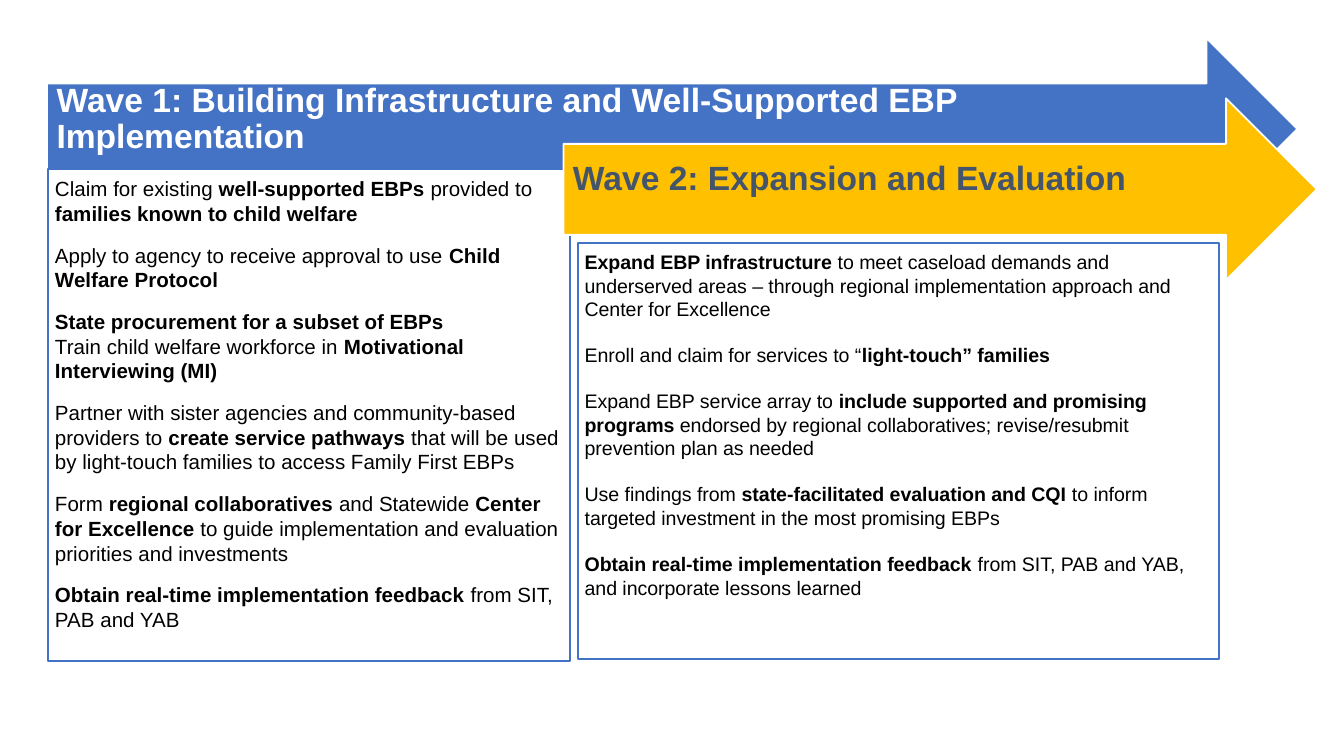
import pptx
import pptx.util
import pptx.dml.color
import pptx.enum.shapes
import pptx.enum.text

Cm = pptx.util.Cm
Pt = pptx.util.Pt
shapes = pptx.enum.shapes.MSO_SHAPE
anchors = pptx.enum.text.MSO_ANCHOR


def colour(value):
    return pptx.dml.color.RGBColor.from_string(value)


def apply_format(target, values):
    for name, value in values.items():
        setattr(target, name, value)


deck = pptx.Presentation()
apply_format(deck, {"slide_width": Cm(25.4), "slide_height": Cm(14.29)})
page = deck.slides.add_slide(deck.slide_layouts[6])

arrow_frame = {
    "margin_left": Cm(0.18), "margin_top": Cm(0.18),
    "margin_right": Cm(1), "margin_bottom": Cm(0.53),
    "vertical_anchor": anchors.MIDDLE, "word_wrap": True,
}
panel_frame = {
    "margin_left": Cm(0.13), "margin_top": Cm(0.13),
    "margin_right": Cm(0.13), "margin_bottom": Cm(0.13),
    "vertical_anchor": anchors.TOP, "word_wrap": True,
}
arrow = {"kind": shapes.RIGHT_ARROW, "line": "FFFFFF", "frame": arrow_frame,
         "size": 18, "spacing": 0.9, "gap": 0}
panel = {"kind": shapes.RECTANGLE, "line": "4472C4", "frame": panel_frame,
         "fill": "FFFFFF", "text": "000000", "spacing": 1}

wave_1_steps = [
    "Claim for existing **well-supported EBPs **provided to **families known to child welfare",
    "Apply to agency to receive approval to use **Child Welfare Protocol",
    "**State procurement for a subset of EBPs",
    "Train child welfare workforce in **Motivational Interviewing (MI)",
    "Partner with sister agencies and community-based providers to **create service pathways "
    "**that will be used by light-touch families to access Family First EBPs",
    "Form **regional collaboratives **and Statewide **Center for Excellence** to guide "
    "implementation and evaluation priorities and investments",
    "**Obtain real-time implementation feedback **from SIT, PAB and YAB",
]
wave_2_steps = [
    "**Expand EBP infrastructure **to meet caseload demands and underserved areas – through "
    "regional implementation approach and Center for Excellence",
    "Enroll and claim for services to “**light-touch” families",
    "Expand EBP service array to **include supported and promising programs **endorsed by "
    "regional collaboratives; revise/resubmit prevention plan as needed",
    "Use findings from **state-facilitated evaluation and CQI **to inform targeted investment "
    "in the most promising EBPs",
    "**Obtain real-time implementation feedback **from SIT, PAB and YAB, and incorporate "
    "lessons learned",
]
joined_to_next = {"**State procurement for a subset of EBPs"}

blocks = [
    {**arrow, "at": (0.89, 0.72, 23.63, 3.44), "fill": "4472C4", "text": "FFFFFF",
     "lines": ["**Wave 1: Building Infrastructure and Well-Supported EBP Implementation"]},
    {**panel, "at": (0.91, 3.2, 9.86, 9.3), "size": 11, "gap": 9.2, "lines": wave_1_steps},
    {**arrow, "at": (10.65, 1.86, 14.24, 3.44), "fill": "FFC000", "text": "44546A",
     "lines": ["**Wave 2: Expansion and Evaluation"]},
    {**panel, "at": (10.92, 4.6, 12.12, 7.86), "size": 10.5, "gap": 12.1, "lines": wave_2_steps},
]

for block in blocks:
    box = page.shapes.add_shape(block["kind"], *[Cm(length) for length in block["at"]])
    box.shadow.inherit = False
    box.fill.solid()
    box.fill.fore_color.rgb = colour(block["fill"])
    box.line.color.rgb = colour(block["line"])
    box.line.width = Pt(1)
    apply_format(box.text_frame, block["frame"])
    for index, line in enumerate(block["lines"]):
        para = box.text_frame.paragraphs[0] if index == 0 else box.text_frame.add_paragraph()
        gap = 0 if line in joined_to_next else block["gap"]
        apply_format(para, {
            "alignment": pptx.enum.text.PP_ALIGN.LEFT,
            "line_spacing": block["spacing"],
            "space_before": Pt(0),
            "space_after": Pt(gap),
        })
        for position, words in enumerate(line.split("**")):
            if words:
                span = para.add_run()
                span.text = words
                apply_format(span.font, {
                    "name": "Arial", "size": Pt(block["size"]), "bold": position % 2 == 1,
                })
                span.font.color.rgb = colour(block["text"])

deck.save("out.pptx")
